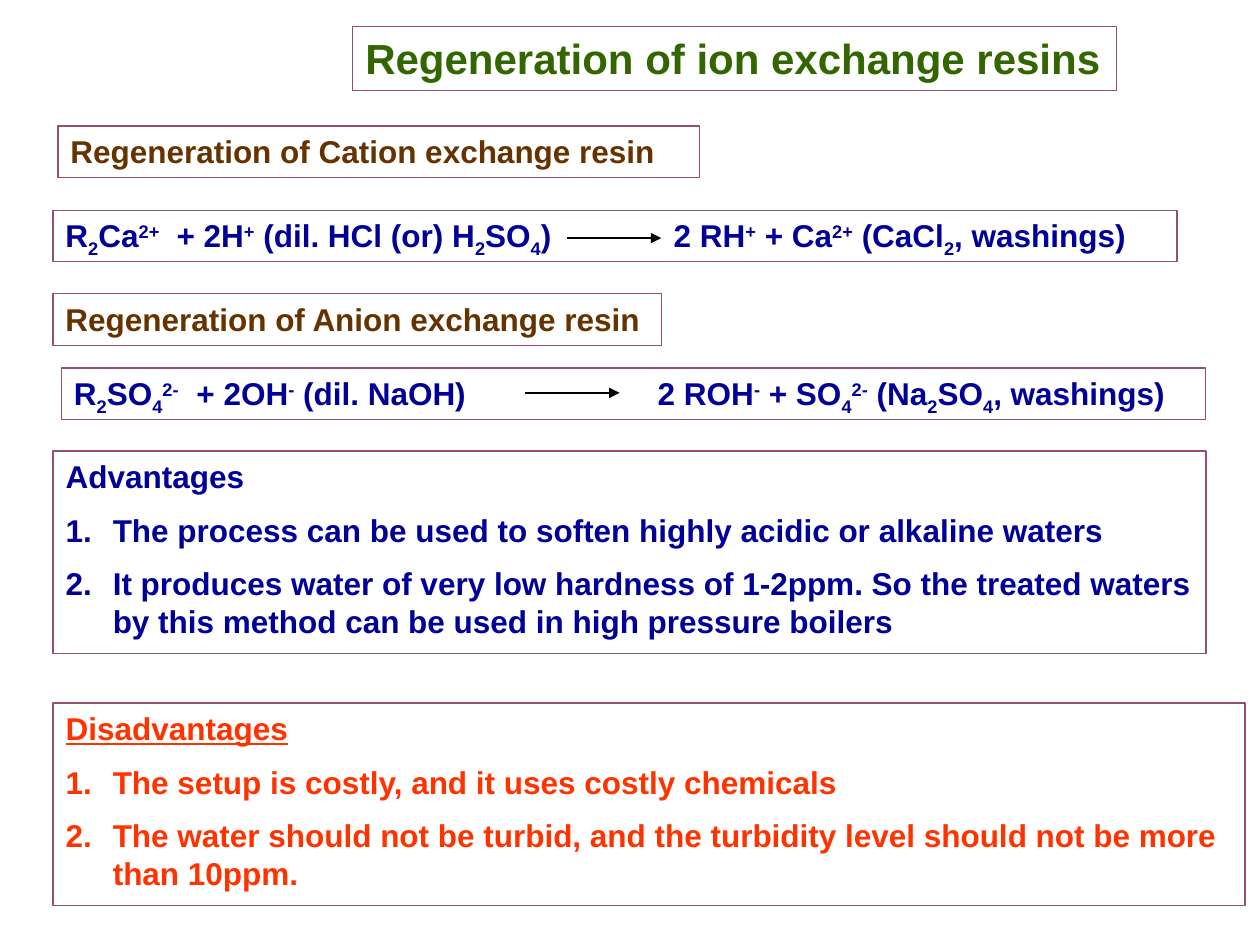
"""Build the slide on regeneration of ion exchange resins."""
from dataclasses import dataclass

from lxml.etree import SubElement
from pptx import Presentation
from pptx.dml.color import RGBColor
from pptx.enum.shapes import MSO_CONNECTOR
from pptx.enum.text import MSO_ANCHOR, MSO_AUTO_SIZE, PP_ALIGN
from pptx.oxml.ns import qn
from pptx.util import Cm, Pt


@dataclass(frozen=True)
class Theme:
    font: str = "Arial"
    title_size: int = 24
    text_size: int = 18
    line_width: float = 0.75
    paper: str = "FFFFFF"
    border: str = "954F72"
    arrow: str = "000000"
    title: str = "336600"
    heading: str = "663300"
    body: str = "000099"
    warning: str = "FF3300"


theme = Theme()
SUB, SUP = -25, 30


def frame_box(sp, left, top, width, height):
    sp.left, sp.top, sp.width, sp.height = Cm(left), Cm(top), Cm(width), Cm(height)
    sp.line.color.rgb = RGBColor.from_string(theme.border)
    sp.line.width = Pt(theme.line_width)
    tf = sp.text_frame
    tf.word_wrap = True
    tf.auto_size = MSO_AUTO_SIZE.NONE
    tf.vertical_anchor = MSO_ANCHOR.TOP
    return tf


def add_run(p, text, color, size=theme.text_size, baseline=0, underline=False):
    r = p.add_run()
    r.text = text
    r.font.name = theme.font
    r.font.size = Pt(size)
    r.font.bold = True
    r.font.underline = underline
    r.font.color.rgb = RGBColor.from_string(color)
    if baseline:
        r._r.get_or_add_rPr().set("baseline", str(baseline * 1000))


prs = Presentation()
prs.slide_width, prs.slide_height = Cm(25.4), Cm(19.05)
s = prs.slides.add_slide(prs.slide_layouts[3])

title = s.shapes.title
title.fill.solid()
title.fill.fore_color.rgb = RGBColor.from_string(theme.paper)
p = frame_box(title, 7.11, 0.53, 15.4, 1.3).paragraphs[0]
p.alignment = PP_ALIGN.LEFT
add_run(p, "Regeneration of ion exchange resins", theme.title, theme.title_size)

headings = [
    ("Regeneration of Cation exchange resin", 1.17, 2.54, 12.93),
    ("Regeneration of Anion exchange resin", 1.07, 5.92, 12.27),
]
for text, left, top, width in headings:
    sp = s.shapes.add_textbox(0, 0, 0, 0)
    p = frame_box(sp, left, top, width, 1.04).paragraphs[0]
    add_run(p, text, theme.heading)

equations = [
    ((1.07, 4.24, 22.66), (2.24, 12.26), (11.43, 4.8), [
        ("R", 0), ("2", SUB), ("Ca", 0), ("2+", SUP), ("\t+ 2H", 0), ("+", SUP),
        (" (dil. HCl (or) H", 0), ("2", SUB), ("SO", 0), ("4", SUB),
        (")\t2 RH", 0), ("+", SUP), (" + Ca", 0), ("2+", SUP),
        (" (CaCl", 0), ("2", SUB), (", washings)", 0)]),
    ((1.24, 7.42, 23.06), (2.47, 11.77), (10.59, 7.92), [
        ("R", 0), ("2", SUB), ("SO", 0), ("4", SUB), ("2-", SUP),
        ("\t+ 2OH", 0), ("-", SUP), (" (dil. NaOH)\t2 ROH", 0), ("-", SUP),
        (" + SO", 0), ("4", SUB), ("2-", SUP), (" (Na", 0), ("2", SUB),
        ("SO", 0), ("4", SUB), (", washings)", 0)]),
]
for box, tabs, (x, y), parts in equations:
    sp = s.shapes.add_textbox(0, 0, 0, 0)
    p = frame_box(sp, *box, 1.04).paragraphs[0]
    tab_list = SubElement(p._p.get_or_add_pPr(), qn("a:tabLst"))
    for pos in tabs:
        SubElement(tab_list, qn("a:tab"), pos=str(Cm(pos)), algn="l")
    for text, baseline in parts:
        add_run(p, text, theme.body, baseline=baseline)

    arrow = s.shapes.add_connector(
        MSO_CONNECTOR.STRAIGHT, Cm(x), Cm(y), Cm(x + 1.9), Cm(y))
    arrow.line.color.rgb = RGBColor.from_string(theme.arrow)
    arrow.line.width = Pt(theme.line_width)
    SubElement(arrow.line._get_or_add_ln(), qn("a:tailEnd"), type="triangle")
    SubElement(arrow._element.spPr, qn("a:effectLst"))

lists = [
    (1, 9.09, 23.24, theme.body, False, [
        "Advantages",
        "The process can be used to soften highly acidic or alkaline waters",
        "It produces water of very low hardness of 1-2ppm. So the treated waters "
        "by this method can be used in high pressure boilers"]),
    (2, 14.17, 24.03, theme.warning, True, [
        "Disadvantages",
        "The setup is costly, and it uses costly chemicals",
        "The water should not be turbid, and the turbidity level should not be "
        "more than 10ppm."]),
]
for idx, top, width, color, underline, lines in lists:
    tf = frame_box(s.placeholders[idx], 1.07, top, width, 4.09)
    for i, text in enumerate(lines):
        p = tf.paragraphs[0] if i == 0 else tf.add_paragraph()
        pPr = p._p.get_or_add_pPr()
        pPr.set("marL", str(Cm(0.95)))
        pPr.set("indent", str(-Cm(0.95)))
        if i == 0:
            SubElement(pPr, qn("a:buNone"))
        else:
            SubElement(pPr, qn("a:buFont"), typeface=theme.font)
            SubElement(pPr, qn("a:buAutoNum"), type="arabicPeriod")
        p.space_before = Pt(9 if i else 0)
        add_run(p, text, color, underline=underline and i == 0)

prs.save("out.pptx")
